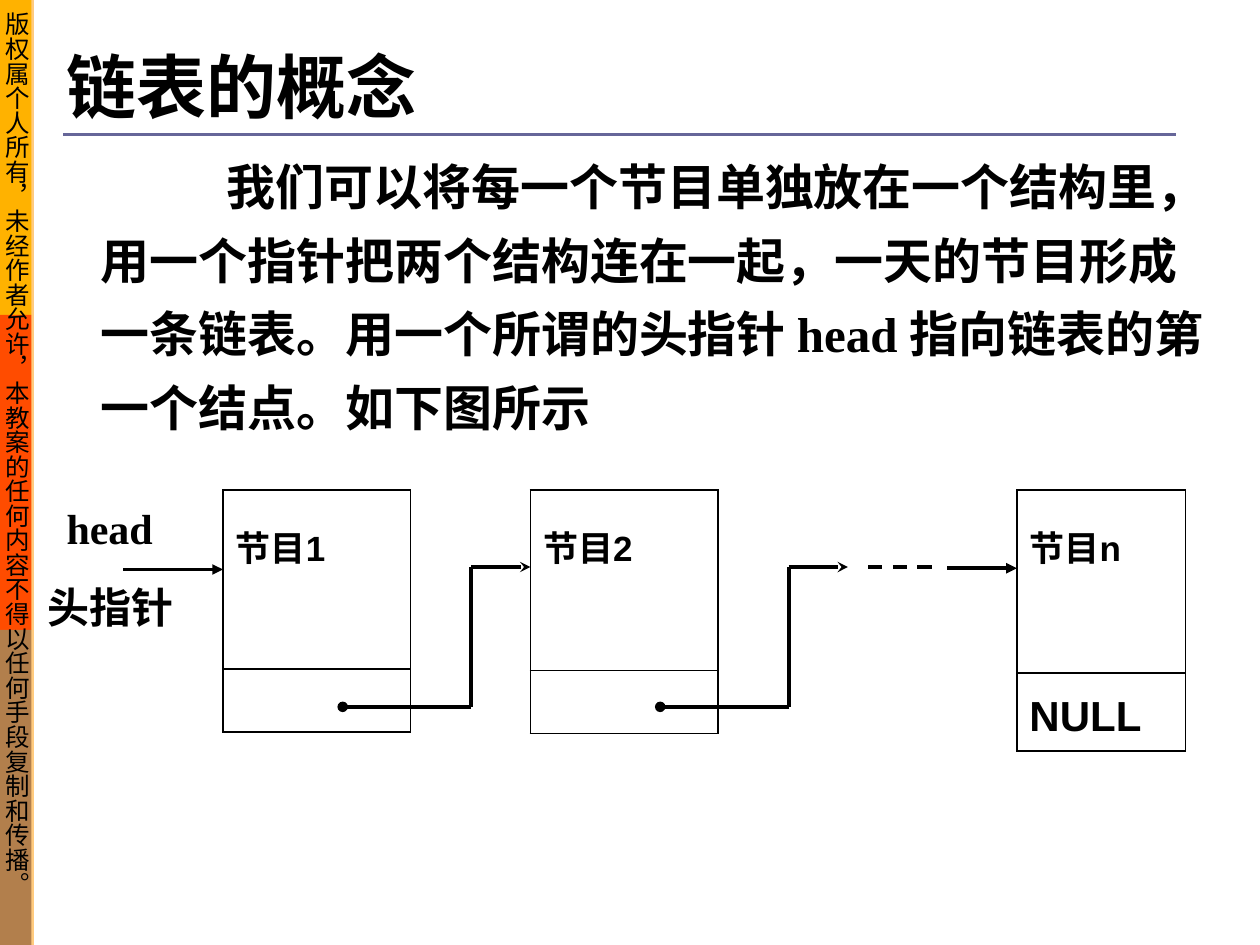
from lxml.etree import SubElement
from pptx import Presentation
from pptx.dml.color import RGBColor
from pptx.enum.dml import MSO_LINE
from pptx.enum.shapes import MSO_CONNECTOR, MSO_SHAPE
from pptx.enum.text import MSO_ANCHOR, MSO_AUTO_SIZE, PP_ALIGN
from pptx.oxml.ns import qn
from pptx.util import Inches, Pt

SANS, SERIF, CJK = "Arial", "Times New Roman", "Noto Sans CJK SC"
BLACK = "000000"


def paint(color_format, value):
    """Set a colour from a hex string."""
    color_format.rgb = RGBColor.from_string(value)


def place(element, left, top, width, height):
    """Move and size an element, in inches."""
    box = {"left": left, "top": top, "width": width, "height": height}
    for name, value in box.items():
        setattr(element, name, Inches(value))


def write(frame, text, size, font, bold=True, **paragraph_format):
    """Write one paragraph with its formatting."""
    paragraph = frame.paragraphs[0]
    for name, value in paragraph_format.items():
        setattr(paragraph, name, value)
    run = paragraph.add_run()
    run.text = text
    for name, value in {"size": Pt(size), "bold": bold, "name": font}.items():
        setattr(run.font, name, value)
    paint(run.font.color, BLACK)
    SubElement(run._r.get_or_add_rPr(), qn("a:ea"), typeface=CJK)
    return paragraph


def fit_frame(frame, anchor=MSO_ANCHOR.TOP):
    """Wrap the text and keep the box size fixed."""
    settings = {"word_wrap": True, "auto_size": MSO_AUTO_SIZE.NONE,
                "vertical_anchor": anchor}
    for name, value in settings.items():
        setattr(frame, name, value)


def add_band(slide, top, width, height, color):
    """Add a plain rectangle at the left edge."""
    band = slide.shapes.add_shape(MSO_SHAPE.RECTANGLE, 0, Inches(top),
                                  Inches(width), Inches(height))
    band.shadow.inherit = False
    band.fill.solid()
    paint(band.fill.fore_color, color)
    band.line.fill.background()
    return band


def add_sidebar(slide):
    """Add the three colour bands and the vertical notice over them."""
    for index, color in enumerate(("FFCC00", "FF0000", "666699")):
        add_band(slide, 2.5 * index, 0.25, 2.5, color)
    notice = add_band(slide, 0, 0.27, 7.5, "FF9900")
    tint = notice.fill._xPr.find(qn("a:solidFill"))[0]
    SubElement(tint, qn("a:alpha"), val="50000")
    frame = notice.text_frame
    fit_frame(frame, MSO_ANCHOR.MIDDLE)
    frame.margin_left = frame.margin_right = Inches(0.02)
    frame._txBody.bodyPr.set("vert", "eaVert")
    write(frame, "版权属个人所有，未经作者允许，本教案的任何内容不得以任何手段复制和传播。",
          14, CJK, bold=False, alignment=PP_ALIGN.CENTER)


def add_line(slide, start, end, width=2, color=BLACK, dash=None, **ends):
    """Add a straight line; ends may name a head or tail marker."""
    points = [Inches(value) for value in (*start, *end)]
    line = slide.shapes.add_connector(MSO_CONNECTOR.STRAIGHT, *points)
    line.line.width = Pt(width)
    paint(line.line.color, color)
    if dash:
        line.line.dash_style = dash
    for side in ("head", "tail"):
        if side in ends:
            SubElement(line.line._ln, qn(f"a:{side}End"), type=ends[side])
    SubElement(line._element.spPr, qn("a:effectLst"))


def add_link(slide, left):
    """Add the stepped pointer from one node to the next."""
    bend, low, high = left + 1.02, 5.61, 4.5
    add_line(slide, (left, low), (bend, low), head="oval")
    add_line(slide, (bend, low), (bend, high))
    add_line(slide, (bend, high), (bend + 0.47, high), tail="stealth")


def border_cell(cell):
    """Clear the fill and draw thin black borders."""
    properties = cell._tc.get_or_add_tcPr()
    for side in ("lnL", "lnR", "lnT", "lnB"):
        border = SubElement(properties, qn(f"a:{side}"), w="12700")
        fill = SubElement(border, qn("a:solidFill"))
        SubElement(fill, qn("a:srgbClr"), val=BLACK)
    cell.fill.background()


def add_node(slide, left, width, heights, label, pointer=""):
    """Add a list node: a data cell above a pointer cell."""
    node = slide.shapes.add_table(2, 1, Inches(left), Inches(3.89),
                                  Inches(width), Inches(sum(heights))).table
    node.first_row = node.horz_banding = False
    for row, height in zip(node.rows, heights):
        row.height = Inches(height)
        border_cell(row.cells[0])
    data, link = node.cell(0, 0), node.cell(1, 0)
    data.margin_top = Inches(0.31)
    write(data.text_frame, label, 20, SANS, line_spacing=0.8)
    if pointer:
        write(link.text_frame, pointer, 24, SANS, line_spacing=1.3)


def add_label(slide, text, left, top, width):
    """Add a label beside the head pointer."""
    label = slide.shapes.add_textbox(Inches(left), Inches(top),
                                     Inches(width), Inches(0.5))
    fit_frame(label.text_frame)
    write(label.text_frame, text, 24, SERIF)


def main():
    """Build the slide and save it."""
    deck = Presentation()
    deck.slide_width, deck.slide_height = Inches(10), Inches(7.5)
    slide = deck.slides.add_slide(deck.slide_layouts[1])
    title, body = slide.placeholders

    add_sidebar(slide)
    add_line(slide, (0.5, 1.07), (9.33, 1.07), 1.5, "666699")

    place(title, 0.43, 0.29, 9.21, 0.77)
    fit_frame(title.text_frame, MSO_ANCHOR.MIDDLE)
    write(title.text_frame, "链表的概念", 40, CJK, alignment=PP_ALIGN.LEFT)

    place(body, 0.2, 1.07, 9.61, 2.43)
    fit_frame(body.text_frame)
    concept = write(
        body.text_frame,
        "我们可以将每一个节目单独放在一个结构里，用一个指针把两个结构连在一起，"
        "一天的节目形成一条链表。用一个所谓的头指针 head 指向链表的第一个结点。如下图所示",
        28, SERIF, line_spacing=Pt(42.2), space_before=Pt(2.8))
    layout = concept._p.get_or_add_pPr()
    layout.set("marL", str(Inches(0.5)))
    layout.set("indent", str(Inches(1)))
    SubElement(layout, qn("a:buNone"))

    add_node(slide, 1.77, 1.49, (1.42, 0.5), "节目1")
    add_node(slide, 4.21, 1.49, (1.43, 0.5), "节目2")
    add_node(slide, 8.07, 1.34, (1.45, 0.62), "节目n", "NULL")

    for left in (2.72, 5.24):
        add_link(slide, left)
    add_line(slide, (6.89, 4.5), (7.44, 4.5), dash=MSO_LINE.DASH)
    add_line(slide, (7.52, 4.51), (8.07, 4.51), tail="triangle")
    add_line(slide, (0.98, 4.52), (1.77, 4.52), tail="triangle")

    add_label(slide, "head", 0.43, 3.94, 0.94)
    add_label(slide, "头指针", 0.28, 4.57, 1.34)
    deck.save("out.pptx")


main()
